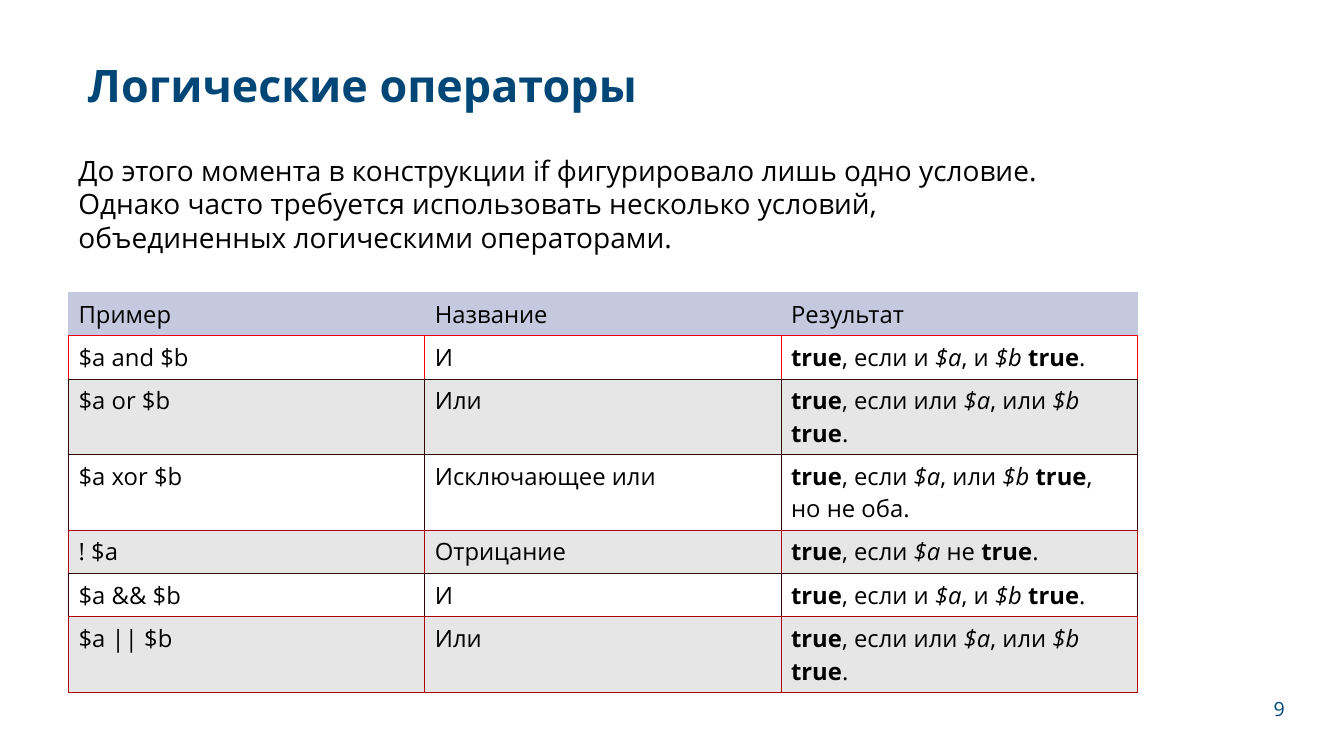
from dataclasses import dataclass

from lxml import etree
from pptx import Presentation
from pptx.dml.color import RGBColor
from pptx.enum import text
from pptx.oxml import ns
from pptx.util import Inches, Pt


@dataclass(frozen=True)
class Theme:
    font: str = "Open Sans"
    accent: str = "004777"
    ink: str = "000000"
    header: str = "C4C9DF"
    plain: str = "FFFFFF"
    band: str = "E6E6E6"
    title_size: int = 32
    body_size: int = 20
    table_size: int = 17
    number_size: int = 14
    border_width: float = 0.75


@dataclass(frozen=True)
class Box:
    left: float
    top: float
    width: float
    height: float

    def lengths(self) -> tuple:
        return tuple(Inches(v) for v in (self.left, self.top, self.width, self.height))


@dataclass(frozen=True)
class Operator:
    example: str
    name: str
    result: str  # runs are separated by "|"
    edge: str
    height: float = 0.43


THEME = Theme()
TITLE = Box(0.77, 0.4, 10.24, 0.95)
INTRO = Box(0.68, 1.47, 10.14, 1.11)
TABLE = Box(0.68, 2.9, 10.6, 3.94)
NUMBER = Box(12.05, 6.84, 0.79, 0.39)

INTRO_TEXT = (
    "До этого момента в конструкции if фигурировало лишь одно условие. "
    "Однако часто требуется использовать несколько условий, "
    "объединенных логическими операторами."
)
BOTH = "true|, если и |$a|, и |$b |true|."
EITHER = "true|, если или |$a|, или |$b |true|."
ROWS = [
    Operator("Пример", "Название", "Результат", THEME.header),
    Operator("$a and $b", "И", BOTH, "F00109"),
    Operator("$a or $b", "Или", EITHER, "300609", 0.75),
    Operator("$a xor $b", "Исключающее или",
             "true|, если |$a|, или |$b |true|, но не оба.", "300109", 0.75),
    Operator("! $a", "Отрицание", "true|, если |$a| не |true|.", "B00209"),
    Operator("$a && $b", "И", BOTH, "300509"),
    Operator("$a || $b", "Или", EITHER, "B00209", 0.75),
]


def set_font(p, size: float, color: str, bold: bool | None = None) -> None:
    p.font.name = THEME.font
    p.font.size = Pt(size)
    p.font.color.rgb = RGBColor.from_string(color)
    p.font.bold = bold


def write(sp, content: str, size: float, color: str, bold: bool | None = None):
    """Fill a shape with one wrapped paragraph and return that paragraph."""
    tf = sp.text_frame
    tf.word_wrap = True
    p = tf.paragraphs[0]
    p.text = content
    set_font(p, size, color, bold)
    return p


def set_borders(cell, edge: str, bottom: str) -> None:
    tc_pr = cell._tc.get_or_add_tcPr()
    for side, color in zip("LRTB", (edge, edge, edge, bottom)):
        ln = etree.SubElement(tc_pr, ns.qn(f"a:ln{side}"), w=str(Pt(THEME.border_width)))
        fill = etree.SubElement(ln, ns.qn("a:solidFill"))
        etree.SubElement(fill, ns.qn("a:srgbClr"), val=color)


def write_result(p, result: str) -> None:
    """Set the literal true in bold and the variables in italics."""
    for part in result.split("|"):
        r = p.add_run()
        r.text = part
        if part == "true":
            r.font.bold = True
        elif part.startswith("$"):
            r.font.italic = True


def add_operator_table(slide) -> None:
    table = slide.shapes.add_table(len(ROWS), 3, *TABLE.lengths()).table
    table.first_row = table.horz_banding = False
    for column in table.columns:
        column.width = Inches(TABLE.width / 3)
    for i, row in enumerate(ROWS):
        table.rows[i].height = Inches(row.height)
        below = ROWS[min(i + 1, len(ROWS) - 1)]
        fill = THEME.header if i == 0 else (THEME.band, THEME.plain)[i % 2]
        for j, content in enumerate((row.example, row.name, row.result)):
            cell = table.cell(i, j)
            set_borders(cell, row.edge, below.edge)
            cell.fill.solid()
            cell.fill.fore_color.rgb = RGBColor.from_string(fill)
            if i == 0:
                cell.vertical_anchor = text.MSO_ANCHOR.MIDDLE
            p = cell.text_frame.paragraphs[0]
            if j == 2:
                write_result(p, content)
            else:
                p.text = content
            set_font(p, THEME.table_size, THEME.ink)


def main() -> None:
    prs = Presentation()
    prs.slide_width, prs.slide_height = Inches(13.33), Inches(7.5)
    slide = prs.slides.add_slide(prs.slide_layouts[5])

    title = slide.shapes.title
    title.left, title.top, title.width, title.height = TITLE.lengths()
    title.text_frame.vertical_anchor = text.MSO_ANCHOR.MIDDLE
    p = write(title, "Логические операторы", THEME.title_size, THEME.accent, bold=True)
    p.alignment = text.PP_ALIGN.LEFT
    p.line_spacing = 0.9

    number = slide.shapes.add_textbox(*NUMBER.lengths())
    number.text_frame.vertical_anchor = text.MSO_ANCHOR.MIDDLE
    p = write(number, "9", THEME.number_size, THEME.accent)
    p.alignment = text.PP_ALIGN.RIGHT

    intro = slide.shapes.add_textbox(*INTRO.lengths())
    write(intro, INTRO_TEXT, THEME.body_size, THEME.ink)

    add_operator_table(slide)
    prs.save("out.pptx")


if __name__ == "__main__":
    main()
